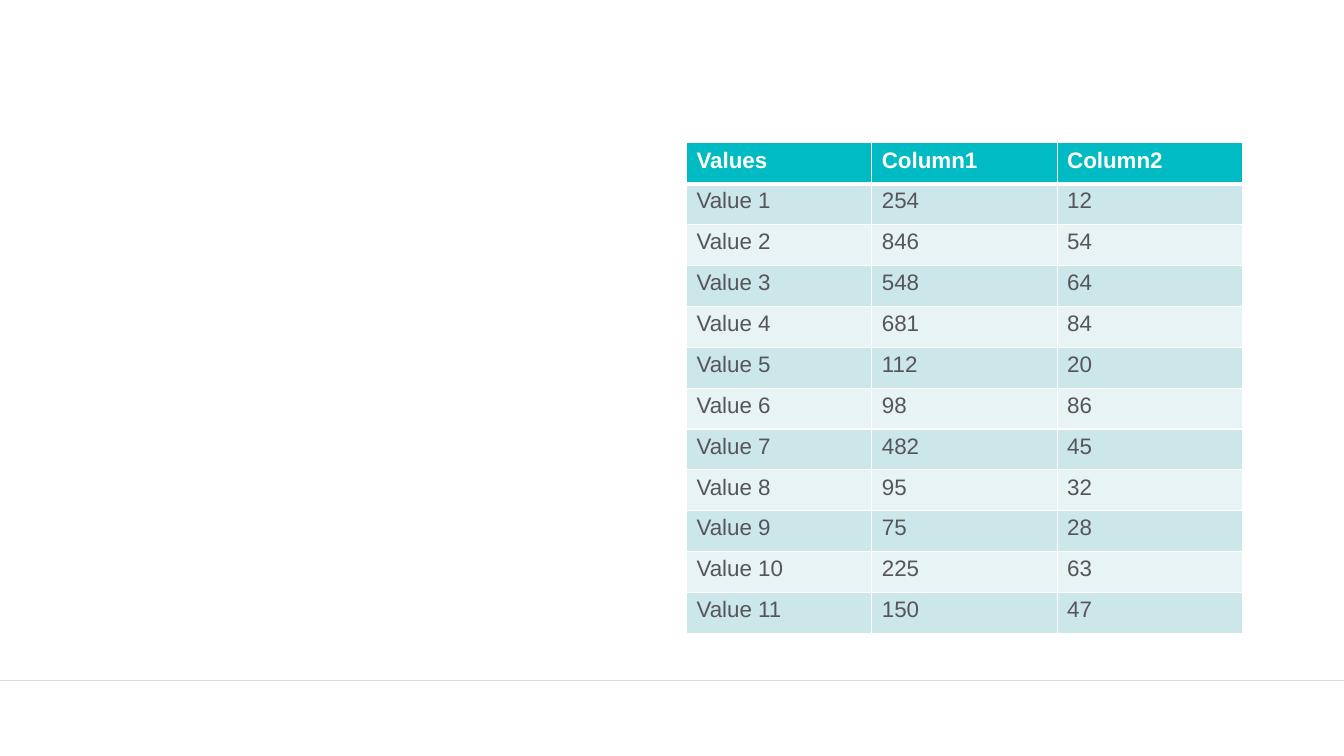
from lxml import etree
from pptx import Presentation
from pptx.dml.color import RGBColor
from pptx.enum.shapes import MSO_CONNECTOR
from pptx.oxml.ns import qn
from pptx.util import Cm, Pt

STRAIGHT = MSO_CONNECTOR.STRAIGHT

# Content
HEADINGS = ("Values", "Column1", "Column2")
COLUMN1 = (254, 846, 548, 681, 112, 98, 482, 95, 75, 225, 150)
COLUMN2 = (12, 54, 64, 84, 20, 86, 45, 32, 28, 63, 47)
RECORDS = [HEADINGS] + [
    (f"Value {number}", first, second)
    for number, (first, second) in enumerate(zip(COLUMN1, COLUMN2), start=1)
]

# Colours
WHITE = RGBColor(0xFF, 0xFF, 0xFF)
TEAL = RGBColor(0x00, 0xBB, 0xC4)
BAND_DARK = RGBColor(0xCC, 0xE7, 0xEA)
BAND_LIGHT = RGBColor(0xE7, 0xF3, 0xF5)
GREY_TEXT = RGBColor(0x56, 0x56, 0x5A)
FOOTER_GREY = RGBColor(0xD9, 0xD9, 0xD9)

# Layout
SLIDE_WIDTH, SLIDE_HEIGHT = Cm(33.87), Cm(19.05)
TABLE_LEFT, TABLE_TOP = Cm(17.3), Cm(3.6)
COLUMN_WIDTH, ROW_HEIGHT = Cm(4.67), Cm(1.03)
FOOTER_TOP = Cm(17.15)


def write(frame, text, *, size=16, color=GREY_TEXT, bold=False, font="Arial"):
    run = frame.paragraphs[0].add_run()
    run.text = str(text)
    run.font.name = font
    run.font.size = Pt(size)
    run.font.bold = bold
    run.font.color.rgb = color


def set_borders(cell, color, widths):
    properties = cell._tc.get_or_add_tcPr()
    for side, width in widths.items():
        border = etree.SubElement(properties, qn(f"a:ln{side}"), w=str(Pt(width)))
        fill = etree.SubElement(border, qn("a:solidFill"))
        etree.SubElement(fill, qn("a:srgbClr"), val=str(color))


def add_footer_rule(slide):
    rule = slide.shapes.add_connector(STRAIGHT, 0, FOOTER_TOP, SLIDE_WIDTH, FOOTER_TOP)
    rule.line.color.rgb = FOOTER_GREY
    rule.line.width = Pt(0.25)
    etree.SubElement(rule._element.spPr, qn("a:effectLst"))


def add_values_table(slide):
    row_count, column_count = len(RECORDS), len(HEADINGS)
    table = slide.shapes.add_table(
        row_count, column_count, TABLE_LEFT, TABLE_TOP,
        COLUMN_WIDTH * column_count, ROW_HEIGHT * row_count,
    ).table
    for column in table.columns:
        column.width = COLUMN_WIDTH
    for row_index, record in enumerate(RECORDS):
        table.rows[row_index].height = ROW_HEIGHT
        is_header = row_index == 0
        band = BAND_DARK if row_index % 2 else BAND_LIGHT
        top = 3 if row_index == 1 else 1
        bottom = 3 if is_header else 1
        for column_index, value in enumerate(record):
            cell = table.cell(row_index, column_index)
            set_borders(cell, WHITE, {"L": 1, "R": 1, "T": top, "B": bottom})
            cell.fill.solid()
            cell.fill.fore_color.rgb = TEAL if is_header else band
            write(cell.text_frame, value, bold=is_header,
                  color=WHITE if is_header else GREY_TEXT)


def main():
    deck = Presentation()
    deck.slide_width, deck.slide_height = SLIDE_WIDTH, SLIDE_HEIGHT
    slide = deck.slides.add_slide(deck.slide_layouts.get_by_name("Blank"))
    add_footer_rule(slide)
    add_values_table(slide)
    deck.save("out.pptx")


if __name__ == "__main__":
    main()
